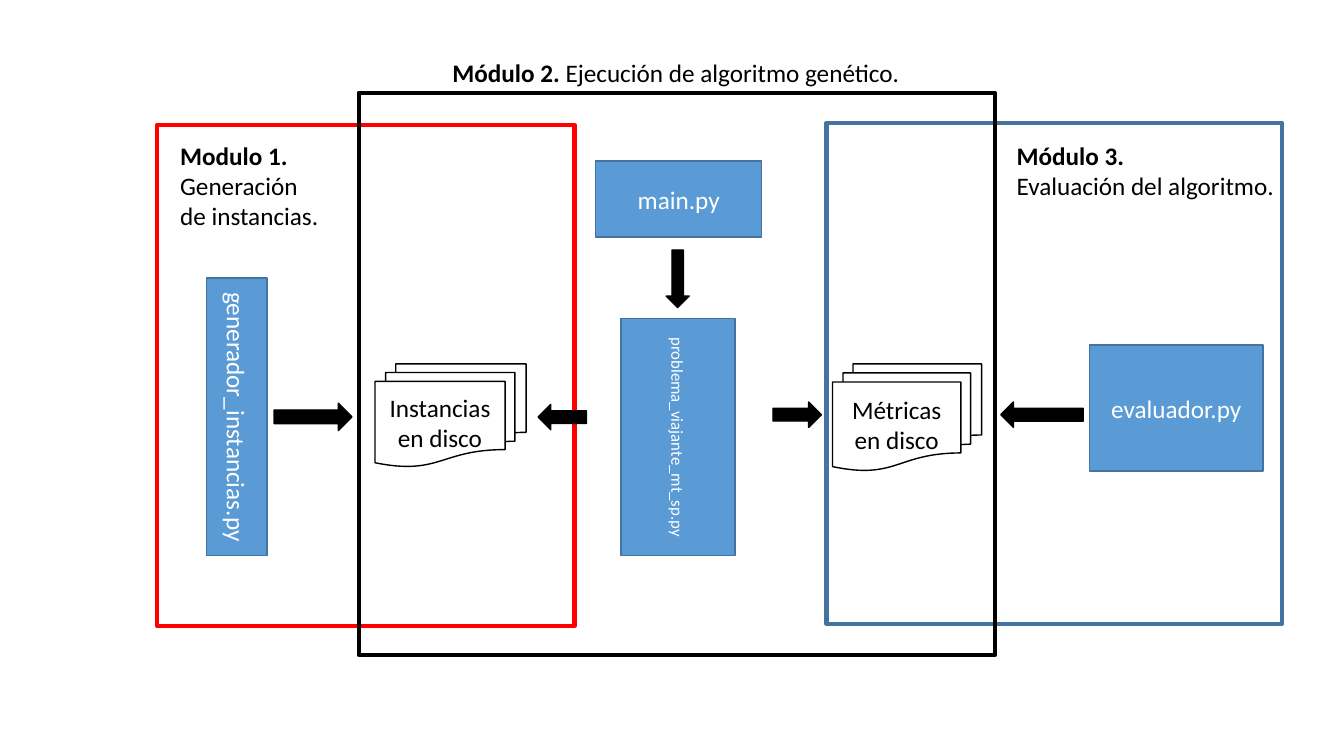
from dataclasses import dataclass
from typing import Optional

from pptx import Presentation
from pptx.dml.color import RGBColor
from pptx.enum.shapes import MSO_SHAPE
from pptx.enum.text import MSO_ANCHOR, MSO_AUTO_SIZE, PP_ALIGN
from pptx.util import Cm, Pt

COLORS = {
    "blue": "5B9BD5",
    "steel": "43739E",
    "red": "FF0000",
    "black": "000000",
    "white": "FFFFFF",
}
FONT = "Calibri"


@dataclass
class Style:
    line: str
    fill: Optional[str] = None
    text: str = "black"
    width: float = 1


@dataclass
class Block:
    kind: MSO_SHAPE
    style: Style
    left: float
    top: float
    width: float
    height: float
    label: str = ""
    size: int = 18
    rotation: int = 0
    vertical: bool = False


@dataclass
class Caption:
    left: float
    top: float
    width: float
    height: float
    heading: str
    detail: str
    same_line: bool = False
    wrap: bool = False


SCRIPT = Style("steel", "blue", "white")
ARROW = Style("black", "black")
FILES = Style("black", "white")
RECT = MSO_SHAPE.RECTANGLE
RIGHT = MSO_SHAPE.RIGHT_ARROW
DOCUMENTS = MSO_SHAPE.FLOWCHART_MULTIDOCUMENT

BLOCKS = [
    Block(RECT, Style("steel", width=3), 20.83, 3.1, 11.48, 12.62),
    Block(RECT, Style("red", width=3), 3.96, 3.15, 10.52, 12.62),
    Block(RECT, SCRIPT, 5.21, 7.01, 1.52, 6.99, "generador_instancias.py", vertical=True),
    Block(RIGHT, ARROW, 6.91, 10.16, 1.96, 0.69),
    Block(RECT, SCRIPT, 15.01, 4.06, 4.19, 1.91, "main.py"),
    Block(MSO_SHAPE.DOWN_ARROW, ARROW, 16.79, 6.3, 0.58, 1.45),
    Block(RECT, SCRIPT, 14.1, 9.58, 5.97, 2.87, "problema_viajante_mt_sp.py", 12, 90),
    Block(RIGHT, ARROW, 13.56, 10.19, 1.22, 0.64, rotation=180),
    Block(DOCUMENTS, FILES, 20.98, 9.17, 3.76, 2.69, "Métricas en disco"),
    Block(DOCUMENTS, FILES, 9.45, 9.17, 3.81, 2.59, "Instancias en disco"),
    Block(RIGHT, ARROW, 19.48, 10.13, 1.22, 0.64),
    Block(RECT, SCRIPT, 27.46, 8.69, 4.37, 3.18, "evaluador.py"),
    Block(RIGHT, ARROW, 25.22, 10.13, 2.08, 0.64, rotation=180),
    Block(RECT, Style("black", width=3), 9.04, 2.34, 16.03, 14.17),
]

CAPTIONS = [
    Caption(4.29, 3.4, 4.22, 2.57, "Modulo 1.", "Generación de instancias.", wrap=True),
    Caption(11.15, 1.32, 11.86, 1.02, "Módulo 2.", " Ejecución de algoritmo genético.", same_line=True),
    Caption(25.37, 3.4, 7.06, 1.8, "Módulo 3.", "Evaluación del algoritmo."),
]


def color(name: str) -> RGBColor:
    return RGBColor.from_string(COLORS[name])


def format_span(span, size: int, color_name: str, bold: bool = False) -> None:
    span.font.name = FONT
    span.font.size = Pt(size)
    span.font.bold = bold
    span.font.color.rgb = color(color_name)


def draw_block(page, block: Block) -> None:
    box = page.shapes.add_shape(
        block.kind, Cm(block.left), Cm(block.top), Cm(block.width), Cm(block.height)
    )
    box.shadow.inherit = False
    box.rotation = block.rotation
    box.line.color.rgb = color(block.style.line)
    box.line.width = Pt(block.style.width)
    if block.style.fill:
        box.fill.solid()
        box.fill.fore_color.rgb = color(block.style.fill)
    else:
        box.fill.background()
    if not block.label:
        return
    frame = box.text_frame
    frame.text = block.label
    frame.word_wrap = True
    frame.vertical_anchor = MSO_ANCHOR.MIDDLE
    if block.vertical:
        box.element.txBody.bodyPr.set("vert", "vert")
    para = frame.paragraphs[0]
    para.alignment = PP_ALIGN.CENTER
    format_span(para.runs[0], block.size, block.style.text)


def draw_caption(page, caption: Caption) -> None:
    box = page.shapes.add_textbox(
        Cm(caption.left), Cm(caption.top), Cm(caption.width), Cm(caption.height)
    )
    frame = box.text_frame
    frame.word_wrap = caption.wrap
    frame.auto_size = MSO_AUTO_SIZE.SHAPE_TO_FIT_TEXT
    frame.text = caption.heading
    para = frame.paragraphs[0]
    format_span(para.runs[0], 18, "black", bold=True)
    if not caption.same_line:
        para = frame.add_paragraph()
    span = para.add_run()
    span.text = caption.detail
    format_span(span, 18, "black")


deck = Presentation()
deck.slide_width = Cm(33.87)
deck.slide_height = Cm(19.05)
page = deck.slides.add_slide(deck.slide_layouts[6])
for block in BLOCKS:
    draw_block(page, block)
for caption in CAPTIONS:
    draw_caption(page, caption)
deck.save("out.pptx")
